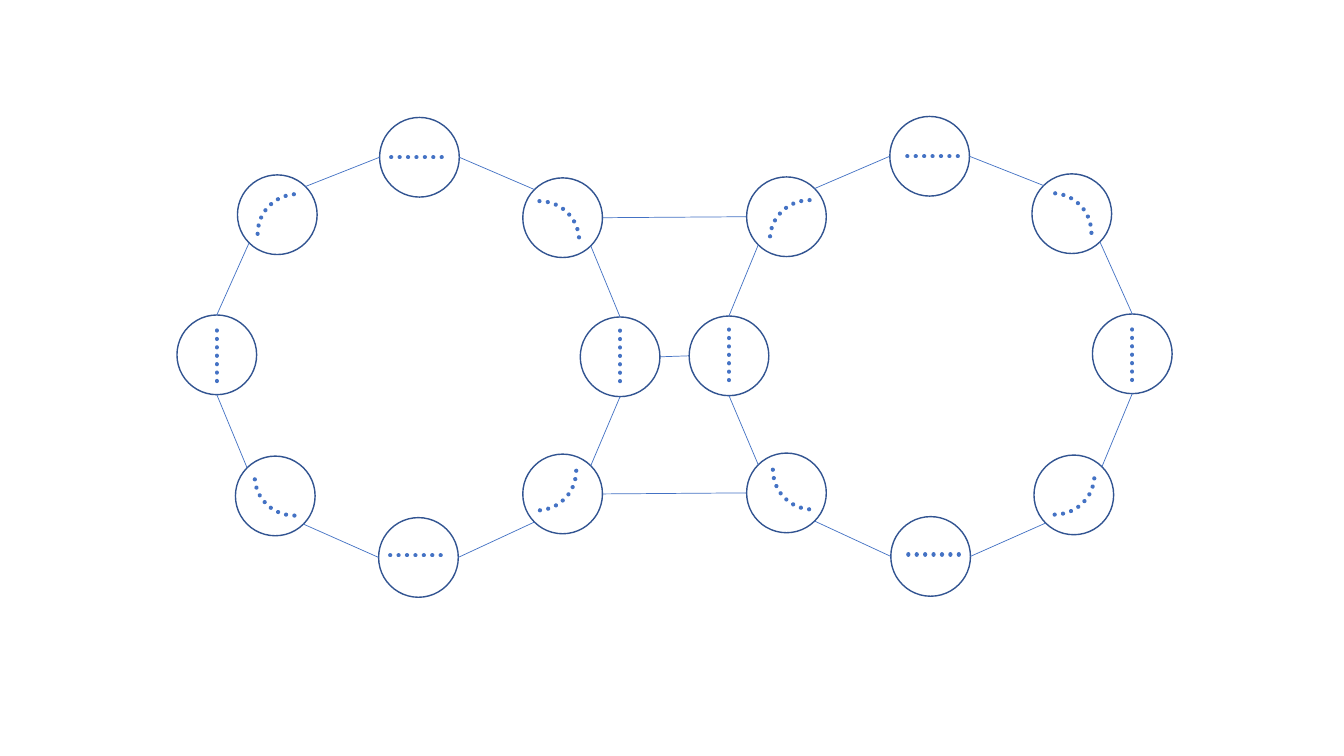
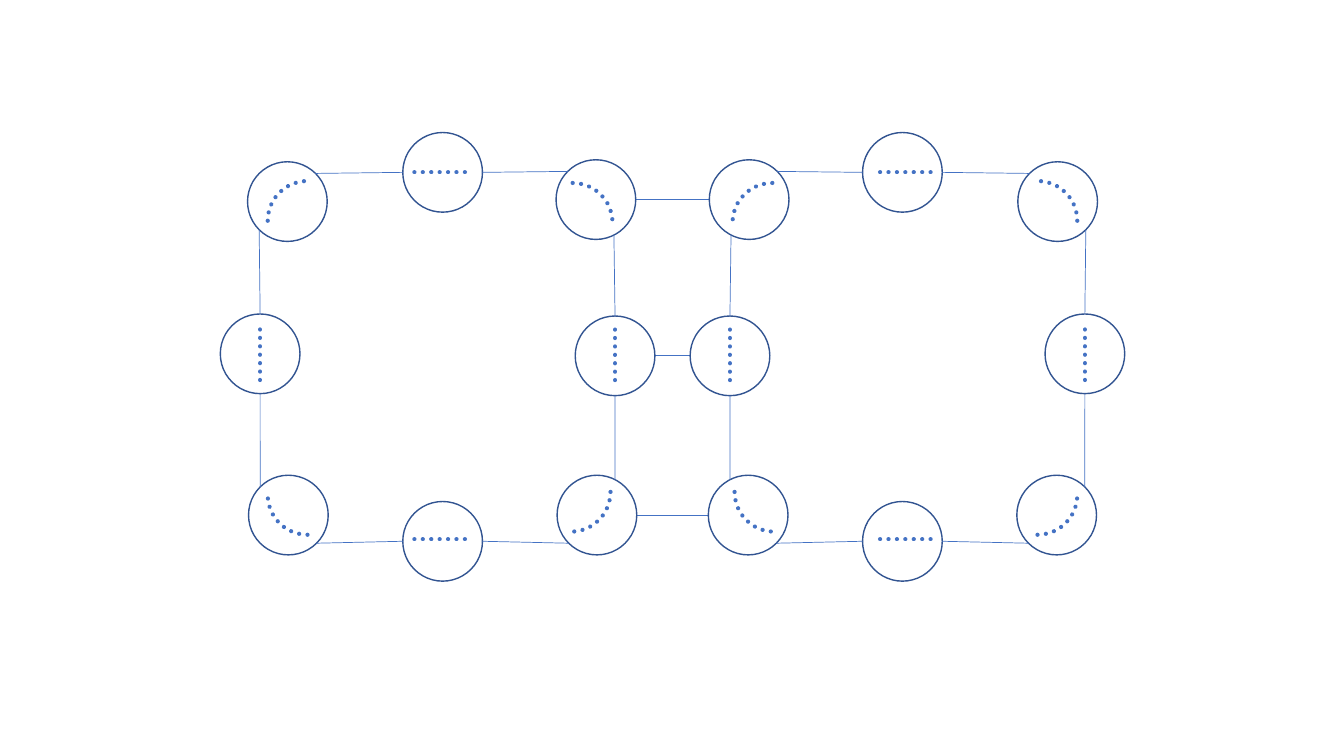
"""Draw two mirrored rings of eight orientation nodes, once round and once square."""
from dataclasses import dataclass
from math import cos, radians, sin

from lxml import etree
from pptx import Presentation
from pptx.dml.color import RGBColor
from pptx.enum.dml import MSO_LINE
from pptx.enum.shapes import MSO_CONNECTOR, MSO_SHAPE
from pptx.oxml.ns import qn
from pptx.util import Inches, Pt

STRAIGHT = MSO_CONNECTOR.STRAIGHT
ARC, OVAL = MSO_SHAPE.ARC, MSO_SHAPE.OVAL
DOTTED = MSO_LINE.ROUND_DOT

BLUE = RGBColor(0x44, 0x72, 0xC4)
NAVY = RGBColor(0x32, 0x54, 0x91)
SLIDE_WIDTH, SLIDE_HEIGHT = 13.33, 7.5
DIAMETER = 0.79
RADIUS = DIAMETER / 2
HALF_DASH = 0.28

# Each dash: centre offset and direction; each arc: centre offset and rotation.
DASHES = {"N": (0, 0, 1, 0), "E": (0, 0.02, 0, 1),
          "S": (0, -0.02, 1, 0), "W": (0, -0.02, 0, -1)}
ARCS = {"NE": (-0.23, 0.23, 0), "SE": (-0.26, -0.23, 90),
        "SW": (0.19, -0.2, 180), "NW": (0.2, 0.19, 270)}


@dataclass
class Layout:
    """Node centres of the left ring and the rule for mirroring it."""
    centres: dict
    axis: float
    rise: float
    inner_angle: int

    def place(self, x, y, mirrored):
        """Return a left-ring point, or its counterpart in the right ring."""
        return (2 * self.axis - x, y - self.rise) if mirrored else (x, y)

    def port(self, node, angle, mirrored):
        """Return the point on a node's rim at an angle, clockwise from east."""
        x, y = self.centres[node]
        turn = radians(angle)
        return self.place(x + RADIUS * cos(turn), y + RADIUS * sin(turn), mirrored)

    def edges(self):
        """List the ring's edges as pairs of node and rim angle."""
        inner = self.inner_angle
        return [(("N", 180), ("NW", -45)), (("NW", 135), ("W", -90)),
                (("W", 90), ("SW", -135)), (("SW", 45), ("S", 180)),
                (("S", 0), ("SE", 135)), (("SE", -inner), ("E", 90)),
                (("E", -90), ("NE", inner)), (("NE", -135), ("N", 0))]


ROUND = Layout({"N": (4.16, 1.56), "NE": (5.58, 2.16), "E": (6.15, 3.54),
                "SE": (5.58, 4.9), "S": (4.15, 5.53), "SW": (2.73, 4.92),
                "W": (2.15, 3.52), "NW": (2.75, 2.13)}, 6.69, 0.01, 45)
SQUARE = Layout({"N": (4.39, 1.71), "NE": (5.91, 1.98), "E": (6.1, 3.53),
                 "SE": (5.92, 5.11), "S": (4.39, 5.37), "SW": (2.86, 5.11),
                 "W": (2.58, 3.51), "NW": (2.85, 2)}, 6.67, 0, 63)


def style_line(line, color, width, dotted=False):
    """Set a line's colour and width, and optionally round dots."""
    line.color.rgb = color
    line.width = Pt(width)
    if dotted:
        line.dash_style = DOTTED
        line._get_or_add_ln().set("cap", "rnd")


def add_line(shapes, start, end, width, dotted=False):
    """Draw a straight blue line between two points."""
    line = shapes.add_connector(STRAIGHT, *map(Inches, (*start, *end)))
    style_line(line.line, BLUE, width, dotted)
    etree.SubElement(line._element.spPr, qn("a:effectLst"))


def add_outline(shapes, kind, centre, color, width, dotted=False):
    """Draw an unfilled node-sized shape around a centre."""
    x, y = centre
    shape = shapes.add_shape(kind, Inches(x - RADIUS), Inches(y - RADIUS),
                             Inches(DIAMETER), Inches(DIAMETER))
    shape.shadow.inherit = False
    shape.fill.background()
    style_line(shape.line, color, width, dotted)
    return shape


def add_node(page, layout, node, mirrored):
    """Draw a circle with its dotted dash or arc as one group."""
    shapes = page.shapes.add_group_shape().shapes
    x, y = layout.centres[node]
    if node in DASHES:
        dx, dy, across, down = DASHES[node]
        start, end = (layout.place(x + dx + side * across * HALF_DASH,
                                   y + dy + side * down * HALF_DASH, mirrored)
                      for side in (-1, 1))
        add_line(shapes, start, end, 3, dotted=True)
    else:
        dx, dy, rotation = ARCS[node]
        arc = add_outline(shapes, ARC, layout.place(x + dx, y + dy, mirrored),
                          BLUE, 3, dotted=True)
        arc.rotation = -rotation % 360 if mirrored else rotation
        if mirrored:
            arc._element.spPr.xfrm.set("flipH", "1")
    add_outline(shapes, OVAL, layout.place(x, y, mirrored), NAVY, 1)


def add_ring(page, layout, mirrored):
    """Draw the eight nodes of a ring and the edges joining them."""
    for node in layout.centres:
        add_node(page, layout, node, mirrored)
    for start, end in layout.edges():
        add_line(page.shapes, layout.port(*start, mirrored),
                 layout.port(*end, mirrored), 0.5)


def add_ring_pair(deck, layout):
    """Add a slide with two mirrored rings and three bridges."""
    page = deck.slides.add_slide(deck.slide_layouts[6])
    for node in ("NE", "E", "SE"):
        add_line(page.shapes, layout.port(node, 0, False),
                 layout.port(node, 0, True), 0.5)
    for mirrored in (False, True):
        add_ring(page, layout, mirrored)


def main():
    """Build and save the deck."""
    deck = Presentation()
    deck.slide_width, deck.slide_height = Inches(SLIDE_WIDTH), Inches(SLIDE_HEIGHT)
    for layout in (ROUND, SQUARE):
        add_ring_pair(deck, layout)
    deck.save("out.pptx")


if __name__ == "__main__":
    main()
